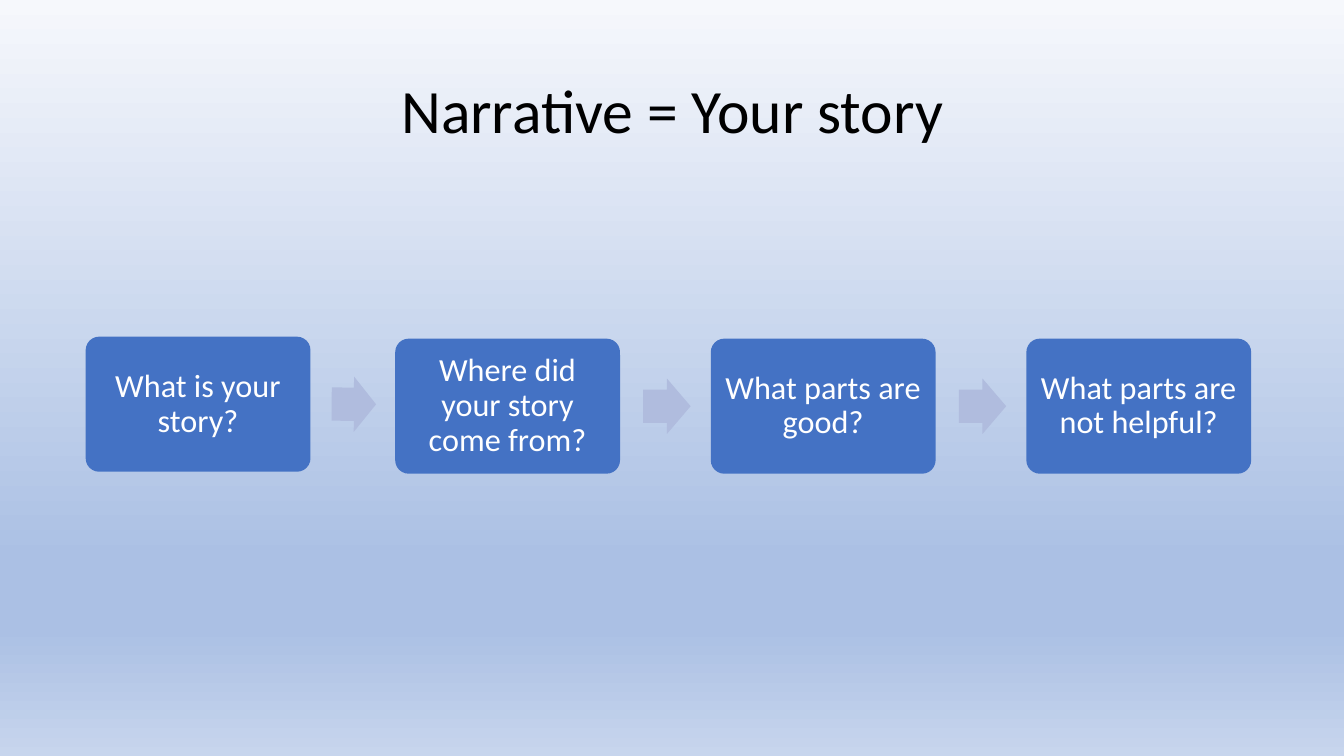
from dataclasses import dataclass

from pptx import Presentation
from pptx.dml.color import RGBColor
from pptx.enum.shapes import MSO_SHAPE
from pptx.enum.text import MSO_ANCHOR, PP_ALIGN
from pptx.oxml import parse_xml
from pptx.oxml.ns import nsdecls
from pptx.util import Inches, Pt

TITLE = "Narrative = Your story"
# label, left, top
STEPS = [
    ("What is your story?", 0.85, 3.34),
    ("Where did your story come from?", 3.92, 3.36),
    ("What parts are good?", 7.05, 3.36),
    ("What parts are not helpful?", 10.18, 3.36),
]
# left, width, rotation
ARROWS = [(3.29, 0.44, 0.3), (6.38, 0.47, 0), (9.51, 0.47, 0)]

BOX_WIDTH, BOX_HEIGHT = 2.23, 1.34
ARROW_HEIGHT = 0.55
INSET = 0.1


@dataclass(frozen=True)
class Theme:
    font: str = "Calibri"
    title_size: int = 44
    step_size: int = 23
    title: str = "000000"
    step_text: str = "FFFFFF"
    step: str = "4472C4"
    arrow: str = "B0BCDE"
    backdrop: tuple = ((0, "F6F8FC"), (74, "ABC0E4"), (83, "ABC0E4"), (100, "C7D5ED"))


THEME = Theme()


def paint_backdrop(page):
    fill = page.background.fill
    fill.gradient()
    fill.gradient_angle = 270
    stops = next(page.element.iter("{*}gsLst"))
    for stop in list(stops):
        stops.remove(stop)
    for percent, colour in THEME.backdrop:
        stops.append(parse_xml(
            f'<a:gs {nsdecls("a")} pos="{percent * 1000}">'
            f'<a:srgbClr val="{colour}"/></a:gs>'))


def write(shape, text, size, colour):
    frame = shape.text_frame
    frame.text = text
    frame.word_wrap = True
    frame.vertical_anchor = MSO_ANCHOR.MIDDLE
    para = frame.paragraphs[0]
    para.alignment = PP_ALIGN.CENTER
    para.line_spacing = 0.9
    font = para.runs[0].font
    for name, value in {"name": THEME.font, "size": Pt(size)}.items():
        setattr(font, name, value)
    font.color.rgb = RGBColor.from_string(colour)


def add_plain_shape(page, kind, place, colour, adjustments):
    shape = page.shapes.add_shape(kind, *map(Inches, place))
    shape.shadow.inherit = False
    shape.fill.solid()
    shape.fill.fore_color.rgb = RGBColor.from_string(colour)
    shape.line.fill.background()
    for index, value in enumerate(adjustments):
        shape.adjustments[index] = value
    return shape


def add_title(page):
    title = page.shapes.title
    place = {"left": 0.92, "top": 0.4, "width": 11.5, "height": 1.45}
    for name, value in place.items():
        setattr(title, name, Inches(value))
    write(title, TITLE, THEME.title_size, THEME.title)


def add_step(page, label, left, top):
    box = add_plain_shape(page, MSO_SHAPE.ROUNDED_RECTANGLE,
                          (left, top, BOX_WIDTH, BOX_HEIGHT), THEME.step, [0.1])
    for side in ("left", "top", "right", "bottom"):
        setattr(box.text_frame, f"margin_{side}", Inches(INSET))
    write(box, label, THEME.step_size, THEME.step_text)


def add_arrow(page, left, width, rotation, step_top):
    top = step_top + (BOX_HEIGHT - ARROW_HEIGHT) / 2
    arrow = add_plain_shape(page, MSO_SHAPE.RIGHT_ARROW,
                            (left, top, width, ARROW_HEIGHT), THEME.arrow, [0.6, 0.5])
    arrow.rotation = rotation


def main():
    deck = Presentation()
    deck.slide_width, deck.slide_height = Inches(13.33), Inches(7.5)
    page = deck.slides.add_slide(deck.slide_layouts[5])
    paint_backdrop(page)
    add_title(page)
    for step in STEPS:
        add_step(page, *step)
    for arrow, (_, _, step_top) in zip(ARROWS, STEPS):
        add_arrow(page, *arrow, step_top)
    deck.save("out.pptx")


if __name__ == "__main__":
    main()
